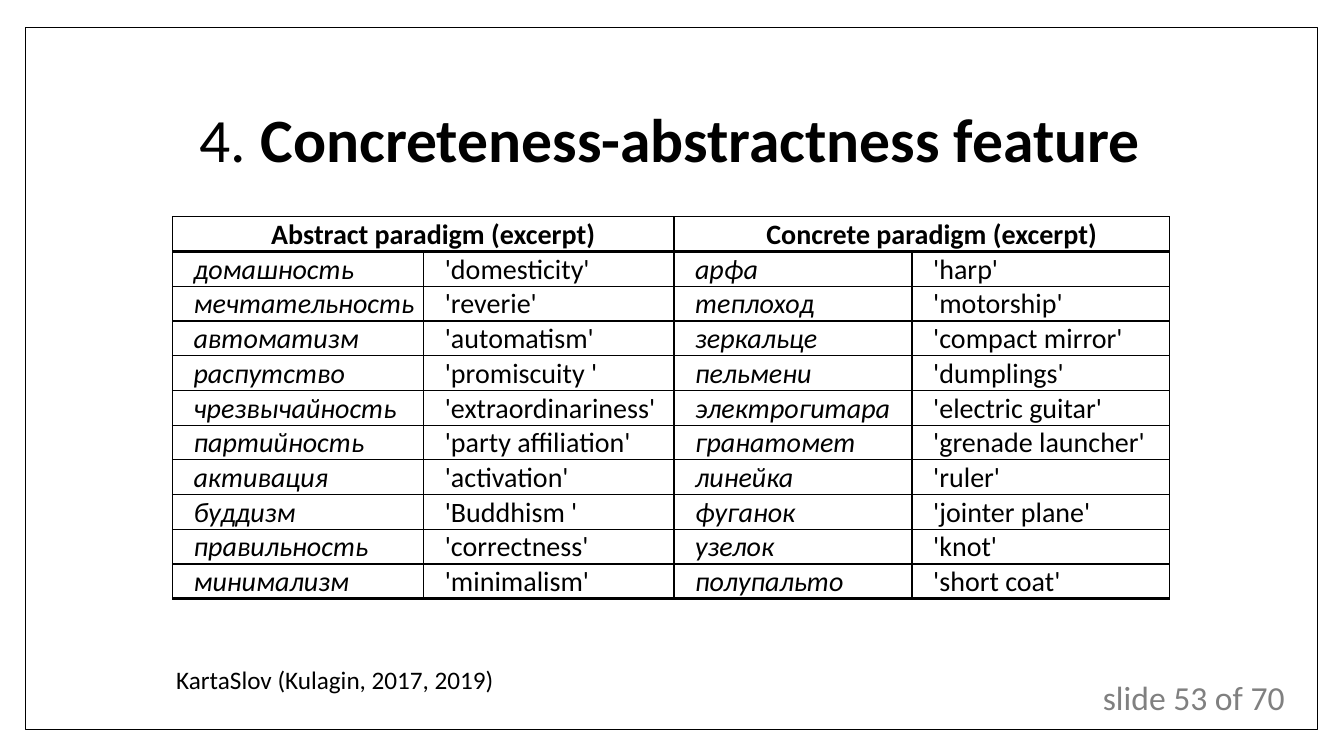
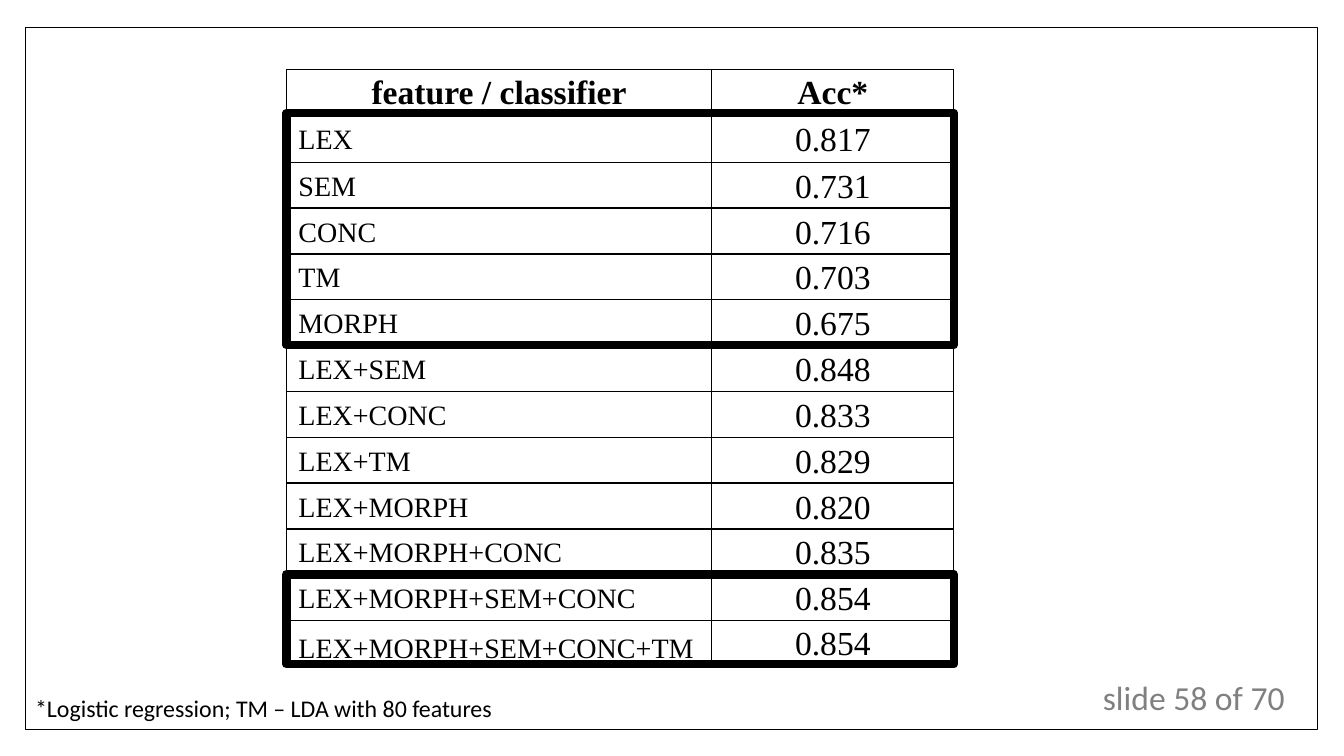
from dataclasses import dataclass

from lxml.etree import SubElement
from pptx import Presentation
from pptx.dml.color import RGBColor as Rgb
from pptx.enum.shapes import MSO_SHAPE as Shape
from pptx.enum.text import MSO_ANCHOR as Anchor, PP_ALIGN as Align
from pptx.oxml.ns import qn
from pptx.util import Inches, Pt

WIDTH, HEIGHT = Inches(13.33), Inches(7.5)


@dataclass(frozen=True)
class Theme:
    ink: str = "000000"
    paper: str = "FFFFFF"
    grey: str = "808080"
    sans: str = "Calibri"
    serif: str = "Times New Roman"
    title: float = 44
    large: float = 24
    body: float = 20
    note: float = 18
    small: float = 17.1
    thin: float = 1
    rule: float = 2.25
    thick: float = 6


THEME = Theme()


@dataclass(frozen=True)
class Box:
    """An area in hundredths of the slide's width and height."""
    x: float
    y: float
    w: float
    h: float

    def place(self):
        return (int(WIDTH * self.x / 100), int(HEIGHT * self.y / 100),
                int(WIDTH * self.w / 100), int(HEIGHT * self.h / 100))

    def band(self, rows, first, last):
        """The part covered by rows first to last, given all row weights."""
        unit = self.h / sum(rows)
        top = self.y + unit * sum(rows[:first])
        return Box(self.x, top, self.w, unit * sum(rows[first:last + 1]))


FRAME = Box(1.88, 3.6, 96.17, 92.93)
COUNT = Box(81.32, 88.93, 16.58, 6.67)
TITLE = Box(9.38, 8.93, 81.02, 19.73)
WORDS = Box(12.83, 28.67, 74.18, 50.53)
SOURCE = Box(12, 87.2, 35.41, 6.67)
SCORES = Box(21.31, 9.2, 49.66, 78.67)
NOTE = Box(1.5, 92.13, 45.91, 4.27)

PAIRS = [
    ("домашность", "'domesticity'", "арфа", "'harp'"),
    ("мечтательность", "'reverie'", "теплоход", "'motorship'"),
    ("автоматизм", "'automatism'", "зеркальце", "'compact mirror'"),
    ("распутство", "'promiscuity '", "пельмени", "'dumplings'"),
    ("чрезвычайность", "'extraordinariness'", "электрогитара", "'electric guitar'"),
    ("партийность", "'party affiliation'", "гранатомет", "'grenade launcher'"),
    ("активация", "'activation'", "линейка", "'ruler'"),
    ("буддизм", "'Buddhism '", "фуганок", "'jointer plane'"),
    ("правильность", "'correctness'", "узелок", "'knot'"),
    ("минимализм", "'minimalism'", "полупальто", "'short coat'"),
]

RESULTS = [
    ("LEX", "0.817"),
    ("SEM", "0.731"),
    ("CONC", "0.716"),
    ("TM", "0.703"),
    ("MORPH", "0.675"),
    ("LEX+SEM", "0.848"),
    ("LEX+CONC", "0.833"),
    ("LEX+TM", "0.829"),
    ("LEX+MORPH", "0.820"),
    ("LEX+MORPH+CONC", "0.835"),
    ("LEX+MORPH+SEM+CONC", "0.854"),
    ("LEX+MORPH+SEM+CONC+TM", "0.854"),
]


def style(para, size, face=THEME.sans, color=THEME.ink, bold=False,
          italic=False, align=None, space=None, left=None, first=None):
    props = para._p.get_or_add_pPr()
    for name, value in (("marL", left), ("indent", first)):
        if value is not None:
            props.set(name, str(Inches(value)))
    para.alignment = align
    para.line_spacing = space
    font = para.font
    font.size, font.name, font.bold, font.italic = Pt(size), face, bold, italic
    font.color.rgb = Rgb.from_string(color)


def label(slide, box, text, size, anchor=Anchor.TOP, **look):
    frame = slide.shapes.add_textbox(*box.place()).text_frame
    frame.word_wrap = True
    frame.vertical_anchor = anchor
    para = frame.paragraphs[0]
    para.text = text
    style(para, size, **look)
    return para


def outline(slide, box, weight, fill=None):
    rect = slide.shapes.add_shape(Shape.RECTANGLE, *box.place())
    rect.shadow.inherit = False
    if fill:
        rect.fill.solid()
        rect.fill.fore_color.rgb = Rgb.from_string(fill)
    else:
        rect.fill.background()
    rect.line.color.rgb = Rgb.from_string(THEME.ink)
    rect.line.width = Pt(weight)


def base(deck, number):
    """Add a slide with the shared frame and slide count."""
    slide = deck.slides.add_slide(deck.slide_layouts[6])
    outline(slide, FRAME, THEME.thin, THEME.paper)
    label(slide, COUNT, f"slide {number} of 70", THEME.large, color=THEME.grey)
    return slide


def border(cell, top, bottom):
    props = cell._tc.get_or_add_tcPr()
    sides = (("L", THEME.thin), ("R", THEME.thin), ("T", top), ("B", bottom))
    for spot, (side, weight) in enumerate(sides):
        line = SubElement(props, qn(f"a:ln{side}"), w=str(Pt(weight)))
        fill = SubElement(line, qn("a:solidFill"))
        SubElement(fill, qn("a:srgbClr"), val=THEME.ink)
        props.insert(spot, line)


def grid(slide, box, cols, rows, heavy=()):
    """Add an empty ruled table; heavy lists the row edges drawn bold."""
    x, y, w, h = box.place()
    table = slide.shapes.add_table(len(rows), len(cols), x, y, w, h).table
    table.first_row = table.horz_banding = False
    for col, share in zip(table.columns, cols):
        col.width = int(w * share / sum(cols))
    for i, (row, share) in enumerate(zip(table.rows, rows)):
        row.height = int(h * share / sum(rows))
        top, bottom = (THEME.rule if edge in heavy else THEME.thin
                       for edge in (i, i + 1))
        for cell in row.cells:
            cell.fill.background()
            border(cell, top, bottom)
    return table


def write(cell, text, size, inset=0.01, anchor=Anchor.MIDDLE, **look):
    cell.margin_left = Inches(inset)
    cell.margin_top = cell.margin_right = Inches(0.01)
    cell.margin_bottom = 0
    cell.vertical_anchor = anchor
    para = cell.text_frame.paragraphs[0]
    para.text = text
    style(para, size, **look)


def lexicon(slide, box):
    last = len(PAIRS) + 1
    table = grid(slide, box, (2.49, 2.48, 2.36, 2.55), [1] * last, (1, last))
    look = dict(size=THEME.body, left=0, first=0.2)
    for col, head in ((0, "Abstract paradigm (excerpt)"),
                      (2, "Concrete paradigm (excerpt)")):
        cell = table.cell(0, col)
        cell.merge(table.cell(0, col + 1))
        write(cell, head, bold=True, align=Align.CENTER, **look)
    for r, words in enumerate(PAIRS, 1):
        for c, word in enumerate(words):
            write(table.cell(r, c), word, italic=c % 2 == 0,
                  align=Align.JUSTIFY, **look)


def ranking(slide, box):
    rows = [43, 48] + [45.4] * 10 + [43.6]
    table = grid(slide, box, (4.22, 2.4), rows)
    look = dict(face=THEME.serif, space=1.07)
    for c, head in enumerate(("feature / classifier", "Acc*")):
        write(table.cell(0, c), head, THEME.large, bold=True,
              align=Align.CENTER, **look)
    for r, (name, score) in enumerate(RESULTS, 1):
        anchor = Anchor.BOTTOM if r == len(RESULTS) else Anchor.MIDDLE
        write(table.cell(r, 0), name, THEME.body, 0.12, anchor, **look)
        write(table.cell(r, 1), score, THEME.large, align=Align.CENTER, **look)
    for first, last in ((1, 5), (11, 12)):
        outline(slide, box.band(rows, first, last), THEME.thick)


def feature(deck):
    slide = base(deck, 53)
    label(slide, SOURCE, "KartaSlov (Kulagin, 2017, 2019)", THEME.note,
          left=0.05, first=0)
    lexicon(slide, WORDS)
    title = label(slide, TITLE, "4. ", THEME.title, Anchor.MIDDLE,
                  align=Align.CENTER, space=0.9)
    run = title.add_run()
    run.text = "Concreteness-abstractness feature"
    run.font.bold = True


def scores(deck):
    slide = base(deck, 58)
    label(slide, NOTE, "*Logistic regression; TM – LDA with 80 features",
          THEME.small, left=0.05, first=0, space=0.7)
    ranking(slide, SCORES)


def main():
    deck = Presentation()
    deck.slide_width, deck.slide_height = WIDTH, HEIGHT
    feature(deck)
    scores(deck)
    deck.save("out.pptx")


if __name__ == "__main__":
    main()
